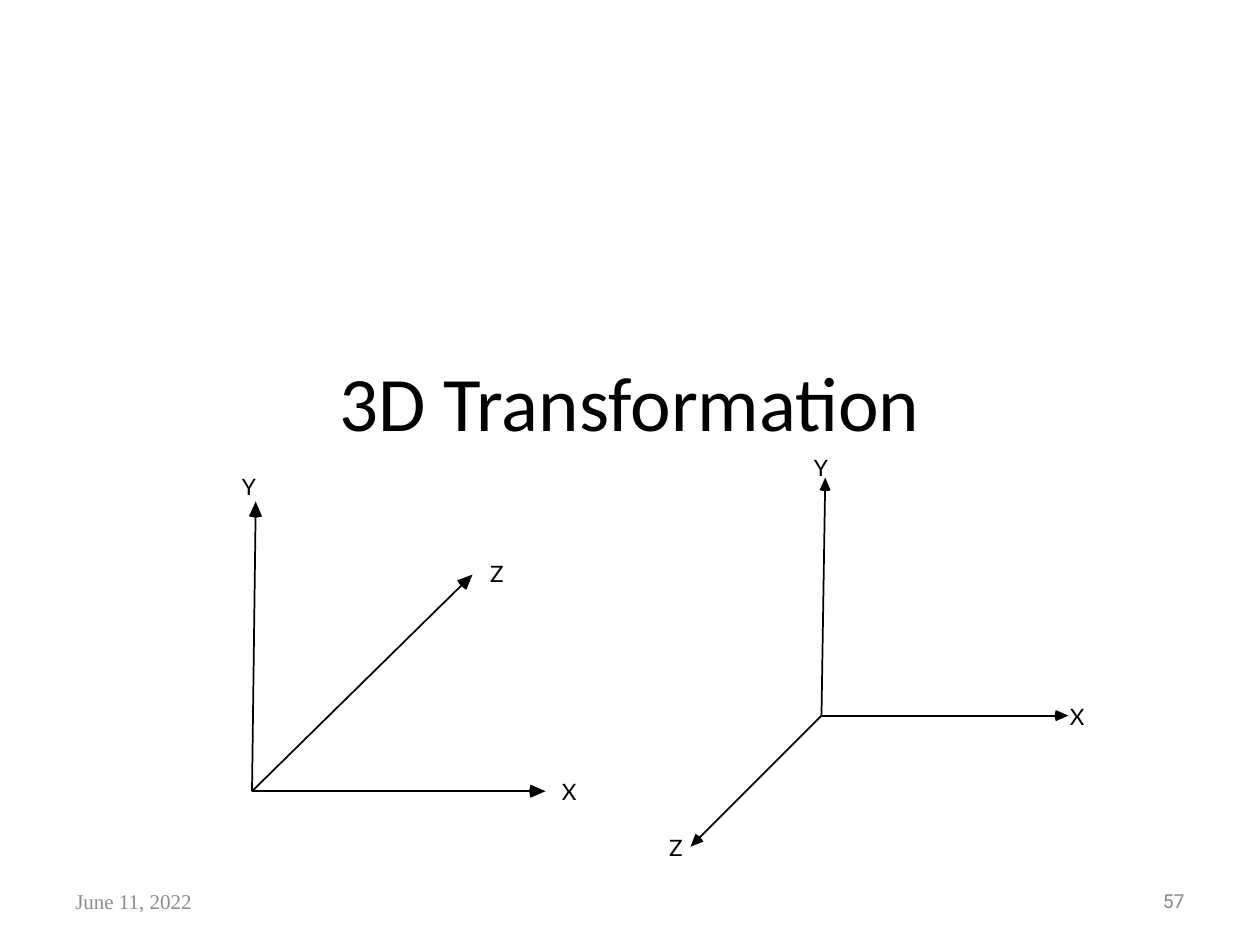
from math import hypot

from lxml import etree
from pptx import Presentation
from pptx.dml.color import RGBColor
from pptx.enum.shapes import MSO_CONNECTOR
from pptx.enum.text import MSO_ANCHOR as Anchor, PP_ALIGN as Align
from pptx.oxml.ns import qn
from pptx.util import Inches, Pt

BLACK = RGBColor(0x00, 0x00, 0x00)
DATE_GREY = RGBColor(0x8C, 0x8C, 0x8C)
NUMBER_GREY = RGBColor(0x89, 0x89, 0x89)

TITLE = {"name": "Calibri", "size": Pt(44)}
DATE = {"name": "Times New Roman", "size": Pt(12)}
NUMBER = {"name": "Roboto", "size": Pt(11)}
LABEL = {"name": "Lato", "size": Pt(12.9)}


def add_text(shapes, text, box, font, color=BLACK, align=Align.LEFT):
    tb = shapes.add_textbox(*map(Inches, box))
    tf = tb.text_frame
    tf.word_wrap = True
    tf.vertical_anchor = Anchor.MIDDLE
    p = tf.paragraphs[0]
    p.alignment = align
    r = p.add_run()
    r.text = text
    for key, value in font.items():
        setattr(r.font, key, value)
    r.font.color.rgb = color
    return tf


def add_label(shapes, text, left, top):
    tf = add_text(shapes, text, (left, top, 0.12, 0.22), LABEL)
    tf.word_wrap = False
    tf.vertical_anchor = Anchor.TOP
    for side in ("left", "top", "right", "bottom"):
        setattr(tf, f"margin_{side}", 0)


def add_axis(shapes, origin, tip, head):
    """Draw a line from origin and a solid head of the given length at tip."""
    (x0, y0), (x1, y1) = origin, tip
    length = hypot(x1 - x0, y1 - y0)
    ux, uy = (x1 - x0) / length, (y1 - y0) / length

    def point(back, aside):
        return (Inches(x1 - back * ux - aside * uy),
                Inches(y1 - back * uy + aside * ux))

    corner, half = 0.92 * head, 0.4 * head
    fb = shapes.build_freeform(*point(0, 0))
    fb.add_line_segments([point(corner, half), point(head, 0),
                          point(corner, -half)])
    sp = fb.convert_to_shape()
    sp.shadow.inherit = False
    sp.fill.solid()
    sp.fill.fore_color.rgb = BLACK
    sp.line.fill.background()

    line = shapes.add_connector(MSO_CONNECTOR.STRAIGHT, Inches(x0), Inches(y0),
                                *point(corner, 0))
    line.line.color.rgb = BLACK
    line.line.width = Pt(1)
    etree.SubElement(line._element.spPr, qn("a:effectLst"))


def add_axes(s, origin, head, axes):
    """Draw one coordinate system; tips and labels are offsets from origin."""
    shapes = s.shapes.add_group_shape().shapes
    x, y = origin
    for name, (tip_x, tip_y), (label_x, label_y) in axes:
        add_axis(shapes, origin, (x + tip_x, y + tip_y), head)
        add_label(shapes, name, x + label_x, y + label_y)


def add_footer(s, left, top, width, height):
    part = 2.33
    add_text(s.shapes, "June 11, 2022", (left, top, part, height),
             DATE, DATE_GREY)
    add_text(s.shapes, "57", (left + width - part, top, part, height),
             NUMBER, NUMBER_GREY, Align.RIGHT)


def main():
    prs = Presentation()
    prs.slide_width, prs.slide_height = Inches(10), Inches(7.5)
    s = prs.slides.add_slide(prs.slide_layouts[6])
    add_text(s.shapes, "3D Transformation", (0.75, 2.44, 8.5, 1.48),
             TITLE, align=Align.CENTER)
    add_footer(s, 0.5, 6.95, 9, 0.4)
    add_axes(s, (2, 6.28), 0.13, [
        ("Z", (1.75, -1.72), (1.89, -1.84)),
        ("X", (2.33, 0), (2.46, -0.11)),
        ("Y", (0.03, -2.3), (-0.08, -2.53)),
    ])
    add_axes(s, (6.52, 5.68), 0.11, [
        ("Y", (0.03, -1.89), (-0.06, -2.08)),
        ("X", (1.96, 0), (1.97, -0.1)),
        ("Z", (-1.04, 1.04), (-1.21, 0.94)),
    ])
    prs.save("out.pptx")


if __name__ == "__main__":
    main()
